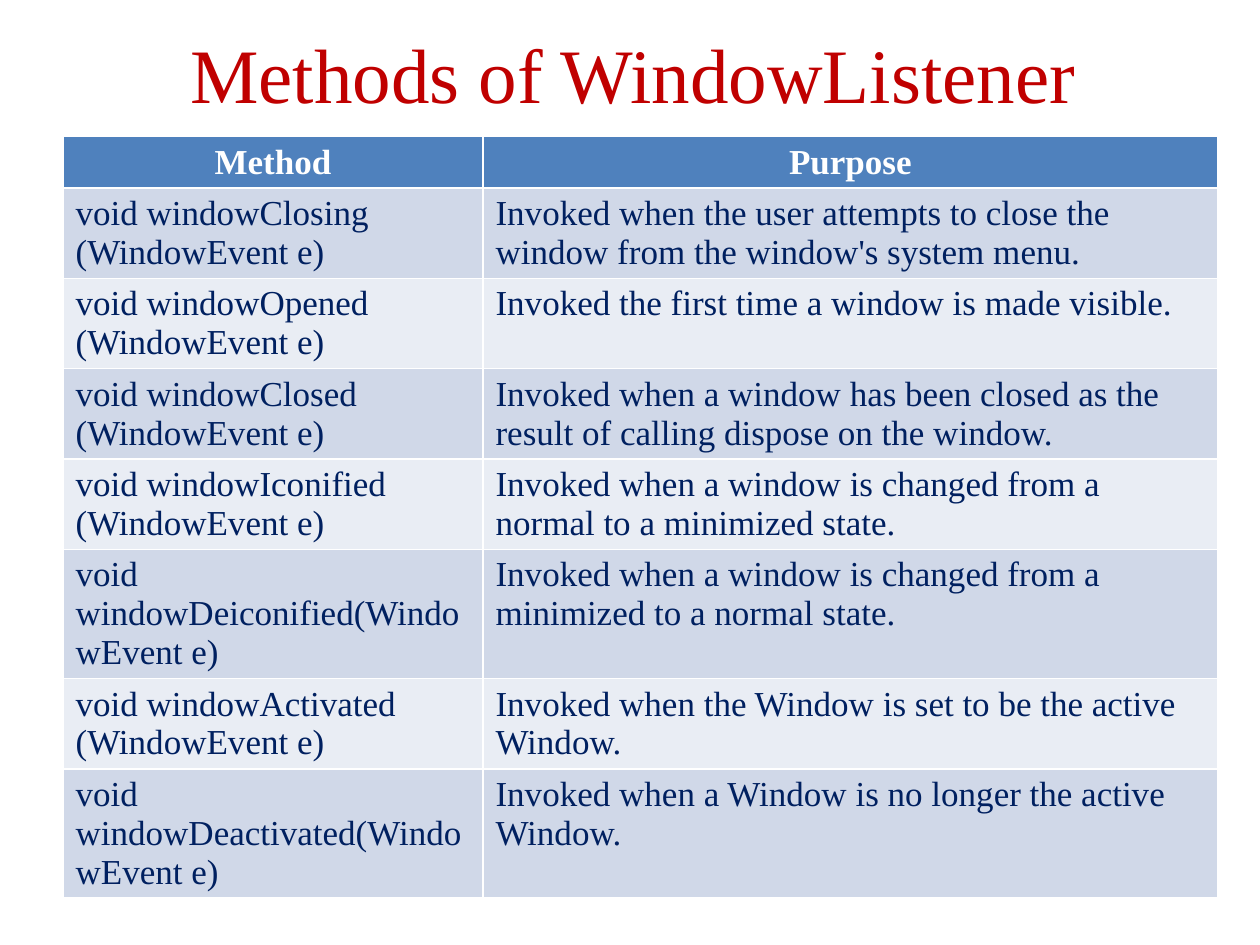
from pptx import Presentation
from pptx.dml.color import RGBColor
from pptx.enum.text import MSO_ANCHOR as Anchor, PP_ALIGN as Align
from pptx.util import Pt

FONT = "Times New Roman"
HEADER_FILL = "4F81BD"
BAND_FILLS = ("D0D8E8", "E9EDF4")
HEADINGS = ("Method", "Purpose")
METHODS = (
    ("windowClosing (", "Invoked when the user attempts to close the window from the window's system menu."),
    ("windowOpened (", "Invoked the first time a window is made visible."),
    ("windowClosed (", "Invoked when a window has been closed as the result of calling dispose on the window."),
    ("windowIconified (", "Invoked when a window is changed from a normal to a minimized state."),
    ("windowDeiconified(", "Invoked when a window is changed from a minimized to a normal state."),
    ("windowActivated (", "Invoked when the Window is set to be the active Window."),
    ("windowDeactivated(", "Invoked when a Window is no longer the active Window."),
)


def color(value):
    return RGBColor.from_string(value)


def format_paragraph(paragraph, size, text_color, align, bold=False):
    paragraph.alignment = align
    font = paragraph.font
    font.name, font.size, font.bold = FONT, Pt(size), bold
    font.color.rgb = color(text_color)


def place_title(slide, left, top, width, height):
    title = slide.shapes.title
    title.left, title.top, title.width, title.height = map(Pt, (left, top, width, height))
    frame = title.text_frame
    frame.text = "Methods of WindowListener"
    frame.vertical_anchor = Anchor.MIDDLE
    format_paragraph(frame.paragraphs[0], 44, "C00000", Align.CENTER)


def fill_cell(cell, text, fill, text_color, align, bold):
    cell.text = text
    cell.fill.solid()
    cell.fill.fore_color.rgb = color(fill)
    format_paragraph(cell.text_frame.paragraphs[0], 20, text_color, align, bold)


def place_methods_table(slide, left, top, width, height):
    header_height = 29.2
    row_height = (height - header_height) / len(METHODS)
    method_width = 240
    table = slide.shapes.add_table(
        len(METHODS) + 1, len(HEADINGS), Pt(left), Pt(top), Pt(width), Pt(height)
    ).table
    table.columns[0].width = Pt(method_width)
    table.columns[1].width = Pt(width - method_width)

    table.rows[0].height = Pt(header_height)
    for cell, heading in zip(table.rows[0].cells, HEADINGS):
        fill_cell(cell, heading, HEADER_FILL, "FFFFFF", Align.CENTER, True)

    for index, (method, purpose) in enumerate(METHODS):
        row = table.rows[index + 1]
        row.height = Pt(row_height)
        texts = (f"void {method}WindowEvent e)", purpose)
        for cell, text in zip(row.cells, texts):
            fill_cell(cell, text, BAND_FILLS[index % 2], "002060", Align.LEFT, False)


def main():
    presentation = Presentation()
    presentation.slide_width, presentation.slide_height = Pt(720), Pt(540)
    slide = presentation.slides.add_slide(presentation.slide_layouts[5])
    place_title(slide, 39.6, 0, 644.4, 82.8)
    place_methods_table(slide, 36, 78, 660, 390.4)
    presentation.save("out.pptx")


if __name__ == "__main__":
    main()
